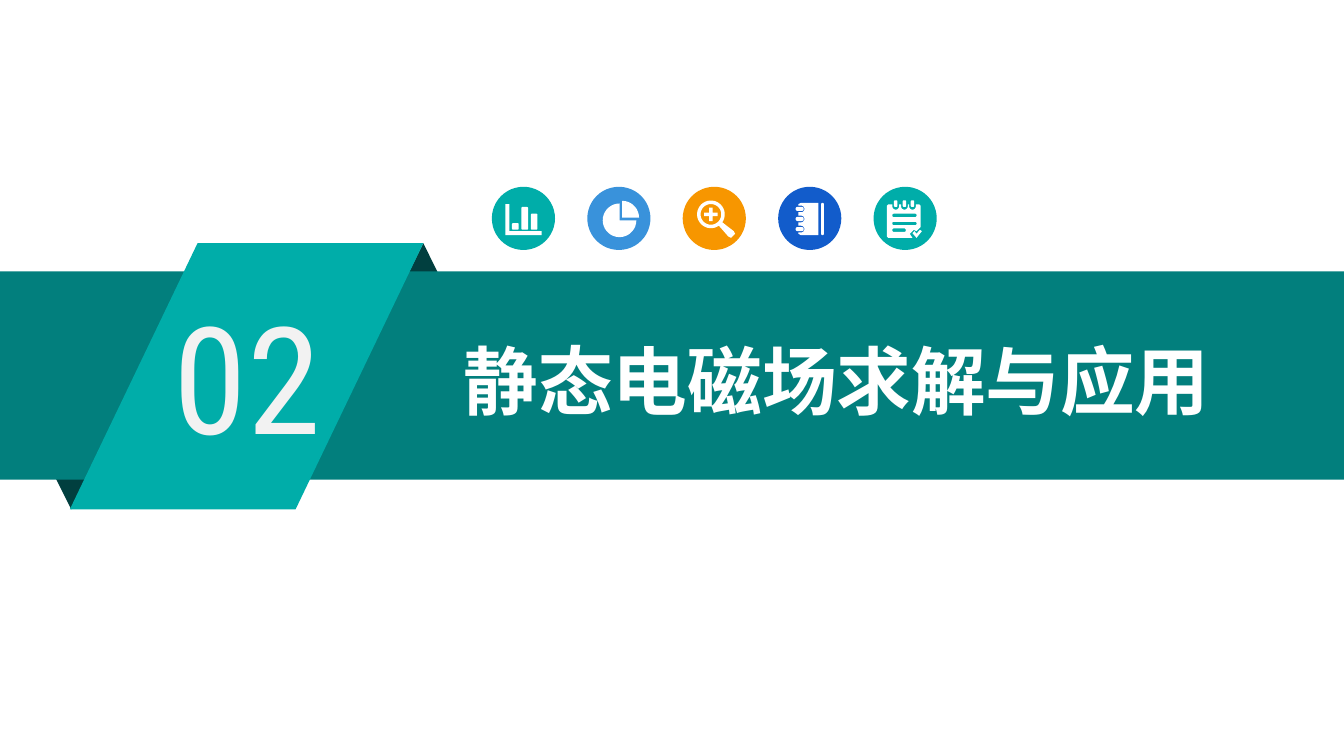
import math

import lxml.etree
import pptx
import pptx.dml.color
import pptx.enum.shapes
import pptx.enum.text
import pptx.oxml.ns
import pptx.util

Inches = pptx.util.Inches
RGB = pptx.dml.color.RGBColor
SHAPE = pptx.enum.shapes.MSO_SHAPE
ALIGN = pptx.enum.text.PP_ALIGN

WHITE = RGB(0xFF, 0xFF, 0xFF)
PALE = RGB(0xF2, 0xF2, 0xF2)
TEAL = RGB(0x00, 0xAD, 0xA9)
DEEP_TEAL = RGB(0x02, 0x7F, 0x7D)
FOLD = RGB(0x01, 0x3F, 0x3F)
SKY = RGB(0x39, 0x92, 0xDB)
ORANGE = RGB(0xF7, 0x96, 0x00)
BLUE = RGB(0x12, 0x5C, 0xCB)


def paint(sp, color):
    """Give a shape a plain fill without line or shadow."""
    sp.shadow.inherit = False
    sp.fill.solid()
    sp.fill.fore_color.rgb = color
    sp.line.fill.background()
    return sp


def add_filled(shapes, kind, box, color):
    """Add a plain preset shape at a box in inches."""
    return paint(shapes.add_shape(kind, *map(Inches, box)), color)


def write(sp, text, font, size, color, align, inset, bold=False):
    """Write one formatted run into a shape."""
    tf = sp.text_frame
    tf.auto_size = pptx.enum.text.MSO_AUTO_SIZE.SHAPE_TO_FIT_TEXT
    tf.vertical_anchor = pptx.enum.text.MSO_ANCHOR.TOP
    tf.margin_left = tf.margin_right = Inches(inset)
    tf.margin_top = tf.margin_bottom = Inches(0.04)
    p = tf.paragraphs[0]
    p.alignment = align
    r = p.add_run()
    r.text = text
    r.font.name, r.font.size, r.font.bold = font, pptx.util.Pt(size), bold
    r.font.color.rgb = color
    ea = lxml.etree.SubElement(r.font._element, pptx.oxml.ns.qn("a:ea"))
    ea.set("typeface", font)
    return tf


def arc(cx, cy, radius, start, end):
    """Return points along a clockwise arc, angles in degrees."""
    steps = max(6, round(abs(end - start) / 10))
    angles = [math.radians(start + (end - start) * i / steps) for i in range(steps + 1)]
    return [(cx + radius * math.cos(a), cy + radius * math.sin(a)) for a in angles]


def bar(x, y, w, h, radius=1):
    """Return the outline of a rounded rectangle."""
    corners = [(x + w - radius, y + h - radius, 0), (x + radius, y + h - radius, 90),
               (x + radius, y + radius, 180), (x + w - radius, y + radius, 270)]
    return [pt for cx, cy, a in corners for pt in arc(cx, cy, radius, a, a + 90)]


def bar_chart():
    """Return axes and three columns."""
    axes = [(10, 13), (13, 13), (13, 33), (37, 33), (37, 36), (10, 36)]
    return [axes] + [bar(x, top, 5, 32 - top) for x, top in ((15, 27), (22, 15), (29, 20))]


def pie():
    """Return a pie with its upper right slice pulled out."""
    return [[(26, 23)] + arc(26, 23, 12.5, -90, 0),
            [(24, 25)] + arc(24, 25, 12.5, 0, 270)]


def magnifier():
    """Return a lens with a handle and a plus sign."""
    x, y, a, b = 21, 20.5, 5, 1.3
    handle = [(38, 33), (39, 35), (36, 38), (34, 37)]
    corners = [(b, a), (b, b), (a, b)]
    plus = [(x + u, y + v) for u, v in corners
            + [(u, -v) for u, v in corners[::-1]]
            + [(-u, -v) for u, v in corners]
            + [(-u, v) for u, v in corners[::-1]]]
    return [arc(x, y, 10.3, 55, 395) + handle, arc(x, y, 7.7, 0, 360), plus]


def notebook():
    """Return a ring-bound book with a spine strip."""
    rings = (16.5, 24, 31.5)
    cover = [(15, 13), (17, 12), (30, 12), (30, 36), (17, 36), (15, 35)]
    for y in reversed(rings):
        cover += [(15, y + 2.5), (17, y + 2.5)] + arc(17, y, 2.5, 90, -90) + [(15, y - 2.5)]
    return [cover, bar(32, 12, 2, 24)] + [bar(13, y - 1.5, 6, 3, 1.4) for y in rings]


def notepad():
    """Return a ruled pad with binding rings and a tick."""
    rings = (16.5, 23, 29)
    page = [(10, 14), (11, 13)]
    for x in rings:
        page += [(x - 2.5, 13), (x - 2.5, 15)] + arc(x, 14.5, 2.5, 180, 0) + [(x + 2.5, 13)]
    page += [(34, 13), (35, 14), (35, 30), (32, 33), (30, 32), (27, 35), (29, 38),
             (11, 38), (10, 37)]
    rules = [bar(14, y, w, 2.5) for y, w in ((20, 18), (26, 18), (31, 10))]
    tick = [(29, 34.5), (30.5, 33), (32, 35), (34.5, 32), (36, 33), (32, 38)]
    return [page, tick] + rules + [bar(x - 1.3, 10, 2.6, 5) for x in rings]


def add_icon(s, left, top, color, contours):
    """Place a white glyph, drawn in hundredths of an inch, on a disc."""
    shapes = s.shapes.add_group_shape().shapes
    add_filled(shapes, SHAPE.OVAL, (left, top, 0.47, 0.47), color)
    paths = [[(Inches(x / 100), Inches(y / 100)) for x, y in c] for c in contours]
    builder = shapes.build_freeform(*paths[0][0])
    for i, points in enumerate(paths):
        if i:
            builder.move_to(*points[0])
        builder.add_line_segments(points[1:], close=True)
    paint(builder.convert_to_shape(Inches(left), Inches(top)), WHITE)


def add_icon_row(s, left, top):
    """Place the five icons at an equal pitch."""
    icons = [(TEAL, bar_chart), (SKY, pie), (ORANGE, magnifier),
             (BLUE, notebook), (TEAL, notepad)]
    for i, (color, glyph) in enumerate(icons):
        add_icon(s, left + 0.71 * i, top, color, glyph())


def add_banner(s, left, top, width, number):
    """Place the band with its folded ribbon and section number."""
    shapes = s.shapes.add_group_shape().shapes
    add_filled(shapes, SHAPE.ISOSCELES_TRIANGLE, (left + 2.7, top, 0.9, 0.91), FOLD)
    sp = add_filled(shapes, SHAPE.ISOSCELES_TRIANGLE, (left + 0.08, top + 1.08, 0.9, 0.9), FOLD)
    sp.rotation = 180
    add_filled(shapes, SHAPE.RECTANGLE, (left, top + 0.21, width, 1.55), DEEP_TEAL)
    sp = add_filled(shapes, SHAPE.PARALLELOGRAM, (left + 0.52, top, 2.63, 1.98), TEAL)
    sp.adjustments[0] = 0.48
    box = (left + 1.22, top + 0.27, 1.45, 1.42)
    sp = shapes.add_textbox(*map(Inches, box))
    write(sp, number, "Roboto Condensed", 80, PALE, ALIGN.LEFT, 0.07).word_wrap = True


def add_title(s, box, text):
    """Move the title placeholder onto the band and fill it."""
    sp = s.shapes.title
    sp.left, sp.top, sp.width, sp.height = map(Inches, box)
    s.shapes.element.append(sp.element)
    tf = write(sp, text, "Noto Sans CJK SC", 40, WHITE, ALIGN.CENTER, 0.08, bold=True)
    tf.word_wrap = False


def main():
    """Build the section slide."""
    prs = pptx.Presentation()
    prs.slide_width = Inches(10)
    prs.slide_height = prs.slide_width * 9 // 16
    s = prs.slides.add_slide(prs.slide_layouts[5])
    add_banner(s, 0, 1.81, 10, "02")
    add_title(s, (3.35, 2.45, 5.75, 0.75), "静态电磁场求解与应用")
    add_icon_row(s, 3.66, 1.39)
    prs.save("out.pptx")


if __name__ == "__main__":
    main()
